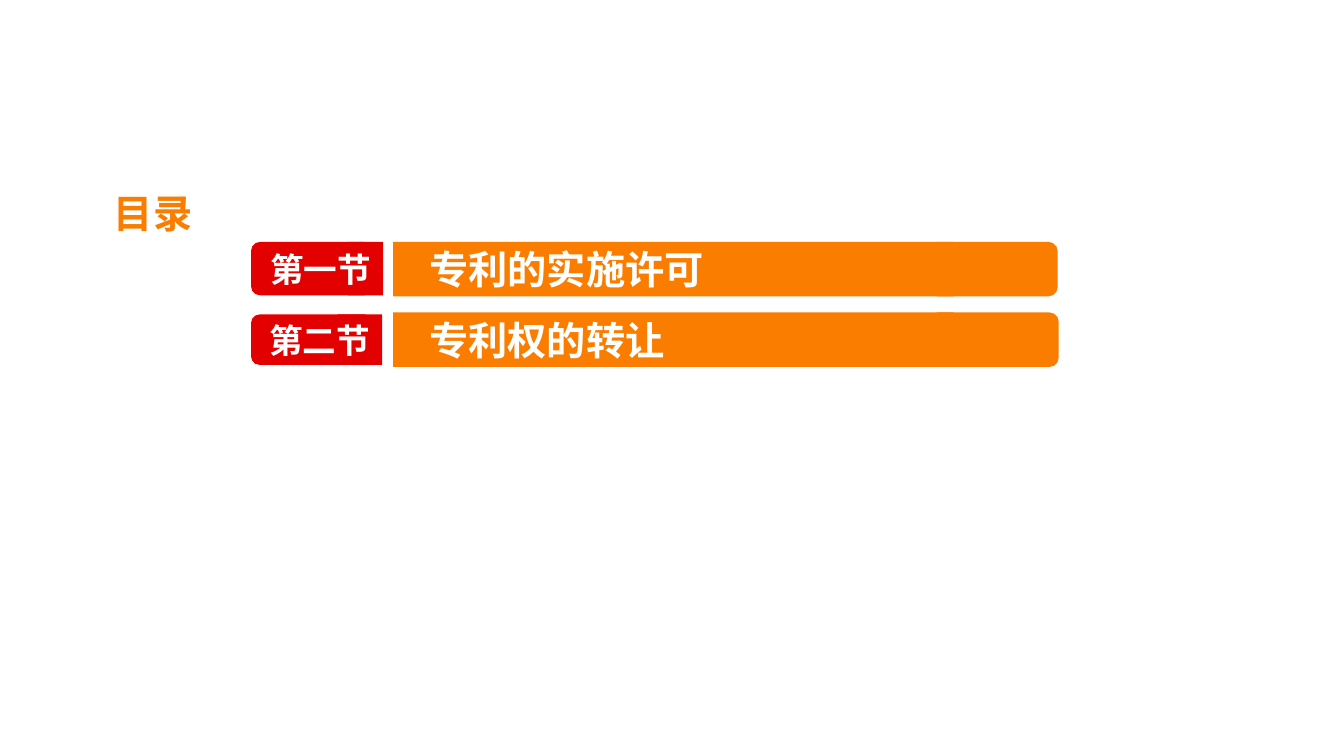
"""Build the contents slide listing two numbered sections."""
from dataclasses import dataclass

from lxml.etree import SubElement
from pptx import Presentation
from pptx.dml.color import RGBColor
from pptx.enum.shapes import MSO_SHAPE as Preset
from pptx.enum.text import MSO_ANCHOR as Anchor, MSO_AUTO_SIZE as AutoSize, PP_ALIGN as Align
from pptx.oxml.ns import qn
from pptx.shapes.shapetree import GroupShapes
from pptx.slide import Slide
from pptx.text.text import TextFrame
from pptx.util import Inches, Pt

ORANGE = RGBColor(0xFA, 0x7D, 0x00)
RED = RGBColor(0xE2, 0x00, 0x00)
WHITE = RGBColor(0xFF, 0xFF, 0xFF)
FONT = "Noto Sans CJK SC"
BAR_LEFT, BAR_WIDTH, BAR_HEIGHT = 3.9, 5.56, 0.54
CAP_LEFT = 9.21
TAB_LEFT, TAB_WIDTH = 2.49, 1.21


@dataclass(frozen=True)
class Area:
    left: float
    top: float
    width: float
    height: float

    def lengths(self) -> tuple[Inches, Inches, Inches, Inches]:
        return Inches(self.left), Inches(self.top), Inches(self.width), Inches(self.height)


@dataclass(frozen=True)
class Section:
    number: str
    heading: str
    bar_top: float
    cap_width: float
    tab_top: float
    tab_height: float
    tab_end_left: float
    tab_end_width: float
    number_area: Area


SECTIONS = (
    Section("第一节", "专利的实施许可", 2.4, 1.28, 2.4, 0.53, 3.45, 0.35,
            Area(2.58, 2.42, 1.21, 0.5)),
    Section("第二节", "专利权的转让", 3.1, 1.29, 3.12, 0.5, 3.35, 0.44,
            Area(2.57, 3.12, 1.25, 0.5)),
)


def write(frame: TextFrame, text: str, size: int, color: RGBColor) -> None:
    para = frame.paragraphs[0]
    para.alignment = Align.LEFT
    span = para.add_run()
    span.text = text
    span.font.size = Pt(size)
    span.font.bold = True
    span.font.color.rgb = color
    span.font.name = FONT
    SubElement(span.font._element, qn("a:ea"), typeface=FONT)


def add_block(shapes: GroupShapes, preset: Preset, area: Area, color: RGBColor) -> TextFrame:
    block = shapes.add_shape(preset, *area.lengths())
    block.shadow.inherit = False
    block.fill.solid()
    block.fill.fore_color.rgb = color
    block.line.fill.background()
    return block.text_frame


def add_title(page: Slide) -> None:
    title = page.shapes.title
    title.left, title.top, title.width, title.height = Area(1.03, 1.83, 0.99, 0.57).lengths()
    frame = title.text_frame
    frame.word_wrap = False
    frame.auto_size = AutoSize.NONE
    frame.vertical_anchor = Anchor.TOP
    write(frame, "目录", 28, ORANGE)


def add_section(page: Slide, section: Section) -> None:
    shapes = page.shapes.add_group_shape().shapes
    add_block(shapes, Preset.ROUNDED_RECTANGLE,
              Area(CAP_LEFT, section.bar_top, section.cap_width, BAR_HEIGHT), ORANGE)
    add_block(shapes, Preset.ROUNDED_RECTANGLE,
              Area(TAB_LEFT, section.tab_top, TAB_WIDTH, section.tab_height), RED)
    add_block(shapes, Preset.RECTANGLE,
              Area(section.tab_end_left, section.tab_top, section.tab_end_width,
                   section.tab_height), RED)
    heading = add_block(shapes, Preset.RECTANGLE,
                        Area(BAR_LEFT, section.bar_top, BAR_WIDTH, BAR_HEIGHT), ORANGE)
    heading.margin_left = Inches(0.36)
    heading.vertical_anchor = Anchor.MIDDLE
    write(heading, section.heading, 28, WHITE)
    number = shapes.add_textbox(*section.number_area.lengths()).text_frame
    number.word_wrap = False
    write(number, section.number, 24, WHITE)


def main() -> None:
    deck = Presentation()
    deck.slide_width, deck.slide_height = Inches(13.33), Inches(7.5)
    page = deck.slides.add_slide(deck.slide_layouts.get_by_name("Title Only"))
    add_title(page)
    for section in SECTIONS:
        add_section(page, section)
    deck.save("out.pptx")


if __name__ == "__main__":
    main()
